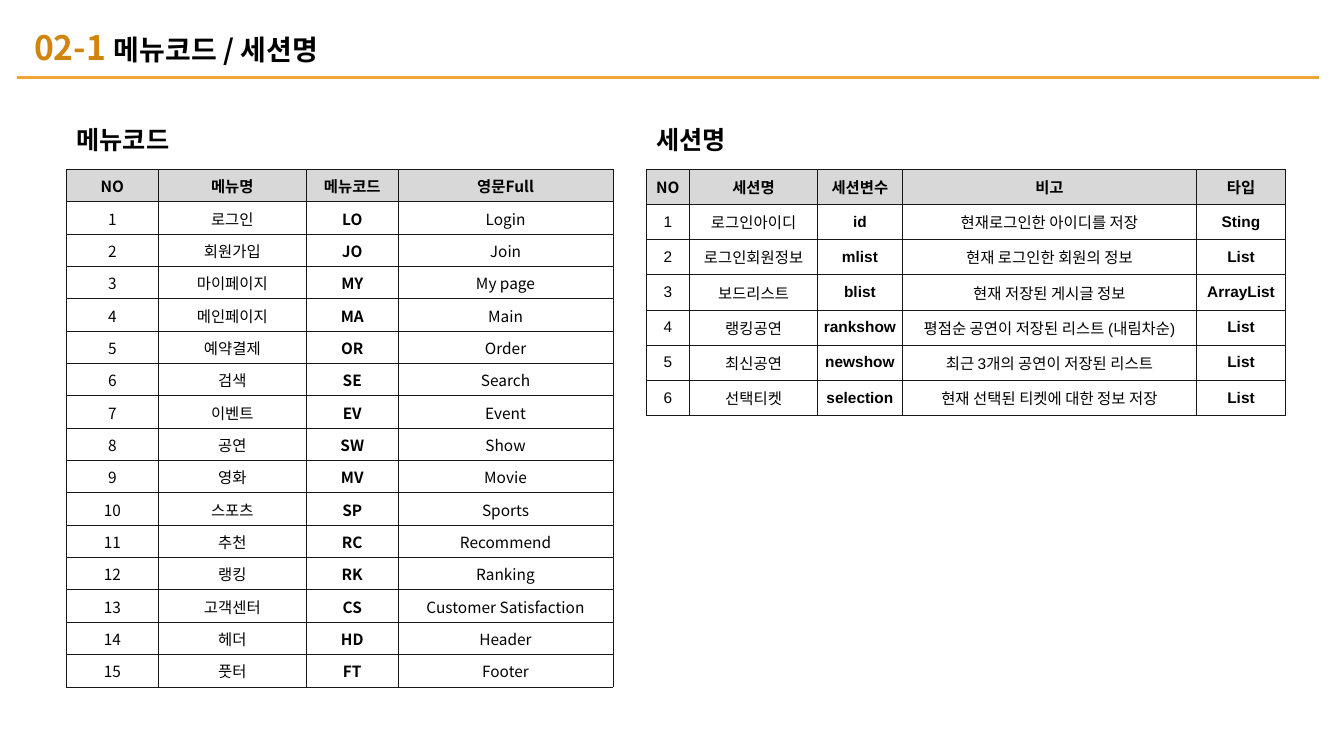
import pptx
import pptx.util
import pptx.dml.color
import pptx.enum.text
import pptx.enum.shapes
import pptx.oxml
import pptx.oxml.ns
import lxml.etree

Inches, Pt = pptx.util.Inches, pptx.util.Pt
SANS, ARIAL = "Noto Sans CJK KR", "Arial"
BLACK, GOLD, AMBER = "000000", "D2850C", "EFA635"
HEAD, EDGE = "D8D8D8", "181717"

TITLE = [("02-1 ", 24, GOLD), ("메뉴코드 / 세션명", 20, BLACK)]

MENUS = [
    ("로그인", "LO", "Login"),
    ("회원가입", "JO", "Join"),
    ("마이페이지", "MY", "My page"),
    ("메인페이지", "MA", "Main"),
    ("예약결제", "OR", "Order"),
    ("검색", "SE", "Search"),
    ("이벤트", "EV", "Event"),
    ("공연", "SW", "Show"),
    ("영화", "MV", "Movie"),
    ("스포츠", "SP", "Sports"),
    ("추천", "RC", "Recommend"),
    ("랭킹", "RK", "Ranking"),
    ("고객센터", "CS", "Customer Satisfaction"),
    ("헤더", "HD", "Header"),
    ("풋터", "FT", "Footer"),
]
SESSIONS = [
    ("로그인아이디", "id", "현재로그인한 아이디를 저장", "Sting"),
    ("로그인회원정보", "mlist", "현재 로그인한 회원의 정보", "List"),
    ("보드리스트", "blist", "현재 저장된 게시글 정보", "ArrayList"),
    ("랭킹공연", "rankshow", "평점순 공연이 저장된 리스트 (내림차순)", "List"),
    ("최신공연", "newshow", "최근 3개의 공연이 저장된 리스트", "List"),
    ("선택티켓", "selection", "현재 선택된 티켓에 대한 정보 저장", "List"),
]
TABLES = [
    dict(title="메뉴코드", left=0.66, high=5.14, font=SANS, bold=(2,),
         wide=(0.91, 1.47, 0.91, 2.13), pad=(0.01, 0.01, 0.01, 0),
         head=("NO", "메뉴명", "메뉴코드", "영문Full"), rows=MENUS),
    dict(title="세션명", left=6.41, high=2.44, font=ARIAL, bold=(2, 4),
         wide=(0.43, 1.27, 0.84, 2.92, 0.88), pad=(0.02, 0, 0.02, 0),
         head=("NO", "세션명", "세션변수", "비고", "타입"), rows=SESSIONS),
]


def color(code):
    """Turn a hex string into a colour."""
    return pptx.dml.color.RGBColor.from_string(code)


def add_run(para, text, size, code=BLACK, bold=True, font=SANS):
    """Add one run, with a Korean font for East Asian letters."""
    run = para.add_run()
    run.text = text
    run.font.size, run.font.bold, run.font.name = Pt(size), bold, font
    run.font.color.rgb = color(code)
    asian = lxml.etree.SubElement(run.font._element, pptx.oxml.ns.qn("a:ea"))
    asian.set("typeface", SANS)


def set_pad(item, pad):
    """Set the left, top, right and bottom margins."""
    (item.margin_left, item.margin_top,
     item.margin_right, item.margin_bottom) = map(Inches, pad)


def add_box(slide, spot, runs):
    """Add a text box and return its frame."""
    frame = slide.shapes.add_textbox(*map(Inches, spot)).text_frame
    frame.word_wrap = True
    for text, size, code in runs:
        add_run(frame.paragraphs[0], text, size, code)
    return frame


def add_edges(cell):
    """Draw a thin line on all four sides of a cell."""
    props = cell._tc.get_or_add_tcPr()
    for spot, side in enumerate("LRTB"):
        props.insert(spot, pptx.oxml.parse_xml(
            f'<a:ln{side} {pptx.oxml.ns.nsdecls("a")} w="{Pt(0.5)}">'
            f'<a:solidFill><a:srgbClr val="{EDGE}"/></a:solidFill>'
            f'</a:ln{side}>'))


def fill_cell(cell, text, pad, head, bold, font):
    """Write and style one table cell."""
    set_pad(cell, pad)
    cell.vertical_anchor = pptx.enum.text.MSO_ANCHOR.MIDDLE
    para = cell.text_frame.paragraphs[0]
    para.alignment = pptx.enum.text.PP_ALIGN.CENTER
    add_run(para, text, 11, bold=bold, font=font)
    if head:
        cell.fill.solid()
        cell.fill.fore_color.rgb = color(HEAD)
    else:
        cell.fill.background()
    add_edges(cell)


def add_grid(slide, data):
    """Add a heading and the numbered table below it."""
    add_box(slide, (data["left"], 1.18, 1.28, 0.4),
            [(data["title"], 18, BLACK)])
    rows = [data["head"]]
    rows += [(str(num), *row) for num, row in enumerate(data["rows"], 1)]
    wide, high = data["wide"], data["high"]
    grid = slide.shapes.add_table(
        len(rows), len(wide), Inches(data["left"]), Inches(1.68),
        Inches(sum(wide)), Inches(high)).table
    grid.first_row = grid.horz_banding = False
    for col, size in zip(grid.columns, wide):
        col.width = Inches(size)
    for r, row in enumerate(rows):
        grid.rows[r].height = Inches(high / len(rows))
        head = r == 0
        for c, text in enumerate(row):
            fill_cell(grid.cell(r, c), text, data["pad"], head,
                      head or c in data["bold"],
                      SANS if head else data["font"])


deck = pptx.Presentation()
deck.slide_width, deck.slide_height = Inches(13.33), Inches(7.5)
slide = deck.slides.add_slide(deck.slide_layouts[6])

rule = slide.shapes.add_connector(
    pptx.enum.shapes.MSO_CONNECTOR.STRAIGHT,
    *map(Inches, (0.17, 0.77, 13.08, 0.77)))
rule.line.color.rgb, rule.line.width = color(AMBER), Pt(1.75)
lxml.etree.SubElement(rule._element.spPr, pptx.oxml.ns.qn("a:effectLst"))

title = add_box(slide, (0.24, 0.28, 8.38, 0.42), TITLE)
set_pad(title, (0.1, 0.02, 0.02, 0.02))
title.vertical_anchor = pptx.enum.text.MSO_ANCHOR.MIDDLE
title.paragraphs[0].line_spacing = 0.9

for data in TABLES:
    add_grid(slide, data)

deck.save("out.pptx")
